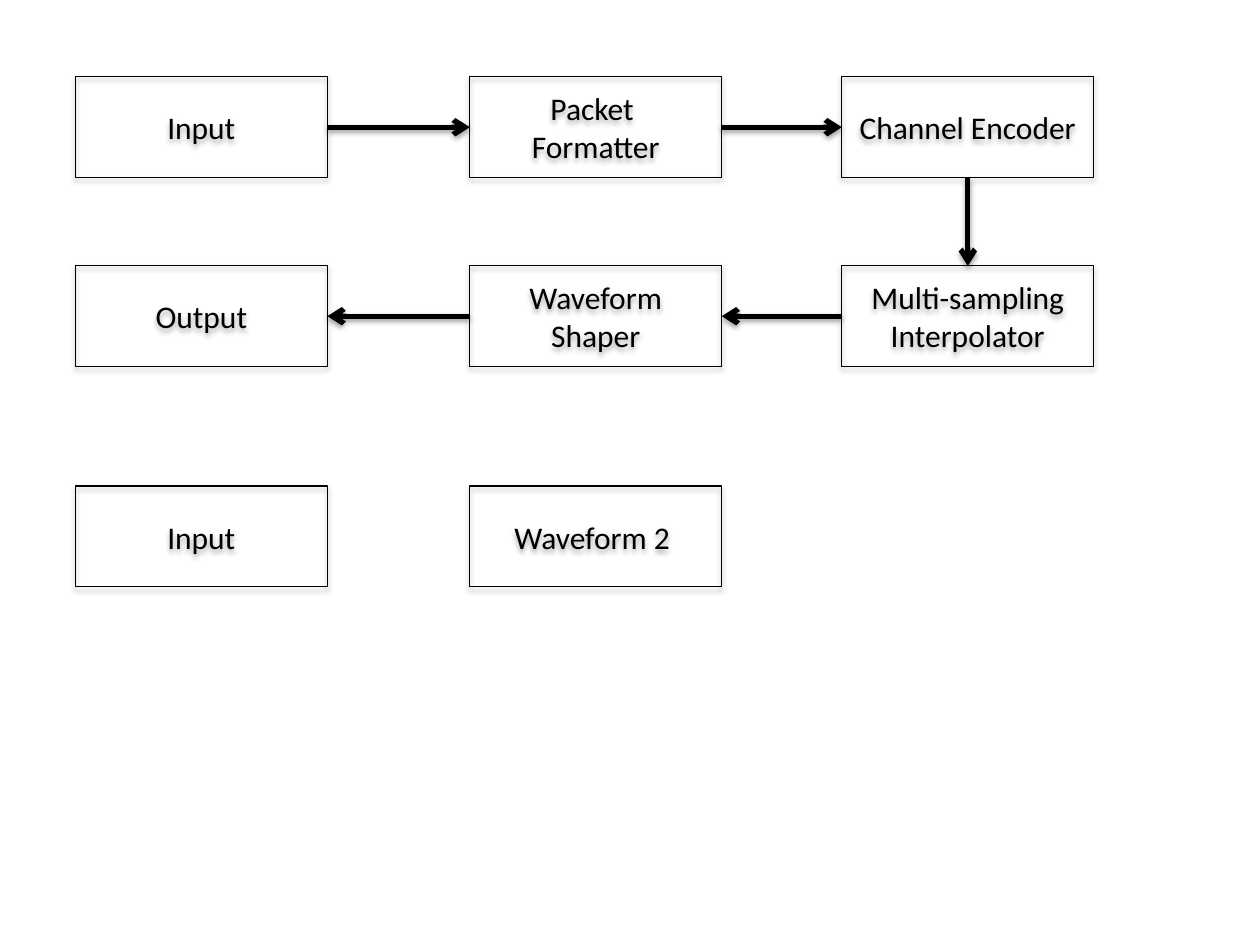
from dataclasses import dataclass

from lxml.etree import SubElement
from pptx import Presentation
from pptx.dml.color import RGBColor
from pptx.enum.shapes import MSO_CONNECTOR, MSO_SHAPE
from pptx.enum.text import MSO_ANCHOR, PP_ALIGN
from pptx.oxml.ns import qn
from pptx.util import Cm, Pt


@dataclass(frozen=True)
class Theme:
    ink: str = "000000"
    font: str = "Calibri"
    label_size: float = 18
    border: float = 0.75
    arrow: float = 3


theme = Theme()
INK = RGBColor.from_string(theme.ink)
TOP, LEFT, BOTTOM, RIGHT = range(4)


def add_shadow(properties, *, opacity, distance):
    """Put a soft downward shadow on shape properties."""
    effects = properties.find(qn("a:effectLst"))
    if effects is None:
        effects = SubElement(properties, qn("a:effectLst"))
    shadow = SubElement(effects, qn("a:outerShdw"), blurRad=str(Pt(3.15)),
                        dist=str(Pt(distance)), dir="5400000", rotWithShape="0")
    color = SubElement(shadow, qn("a:srgbClr"), val=theme.ink)
    SubElement(color, qn("a:alpha"), val=str(opacity * 1000))


def write_text(frame, text, *, size=theme.label_size, font=theme.font,
               color=INK, align=PP_ALIGN.CENTER, anchor=MSO_ANCHOR.MIDDLE):
    """Write text into a frame, one paragraph per line."""
    frame.word_wrap = True
    frame.vertical_anchor = anchor
    frame.text = text
    for paragraph in frame.paragraphs:
        paragraph.alignment = align
        for run in paragraph.runs:
            run.font.size = Pt(size)
            run.font.name = font
            run.font.color.rgb = color


deck = Presentation()
deck.slide_width, deck.slide_height = Cm(25.4), Cm(19.05)
slide = deck.slides.add_slide(deck.slide_layouts[6])

columns = [1.52, 9.47, 16.97]
rows = [1.55, 5.36, 9.8]
stage_width, stage_height = 5.08, 2.03
stage_labels = [
    ["Input", "Packet \nFormatter", "Channel Encoder"],
    ["Output", "Waveform Shaper", "Multi-sampling Interpolator"],
    ["Input", "Waveform 2 "],
]

stages = {}
for row, (top, labels) in enumerate(zip(rows, stage_labels)):
    for column, (left, label) in enumerate(zip(columns, labels)):
        stage = slide.shapes.add_shape(
            MSO_SHAPE.RECTANGLE, Cm(left), Cm(top), Cm(stage_width), Cm(stage_height))
        stage.fill.background()
        stage.line.color.rgb = INK
        stage.line.width = Pt(theme.border)
        stage.shadow.inherit = False
        add_shadow(stage._element.spPr, opacity=35, distance=1.8)
        write_text(stage.text_frame, label)
        stages[row, column] = stage

flow = [
    ((0, 0), RIGHT, (0, 1), LEFT),
    ((0, 1), RIGHT, (0, 2), LEFT),
    ((0, 2), BOTTOM, (1, 2), TOP),
    ((1, 2), LEFT, (1, 1), RIGHT),
    ((1, 1), LEFT, (1, 0), RIGHT),
]
for source, exit_side, target, entry_side in flow:
    arrow = slide.shapes.add_connector(MSO_CONNECTOR.STRAIGHT, 0, 0, 0, 0)
    arrow.begin_connect(stages[source], exit_side)
    arrow.end_connect(stages[target], entry_side)
    arrow.line.color.rgb = INK
    arrow.line.width = Pt(theme.arrow)
    SubElement(arrow.line._get_or_add_ln(), qn("a:tailEnd"), type="arrow")
    add_shadow(arrow._element.spPr, opacity=38, distance=1.6)

deck.save("out.pptx")
